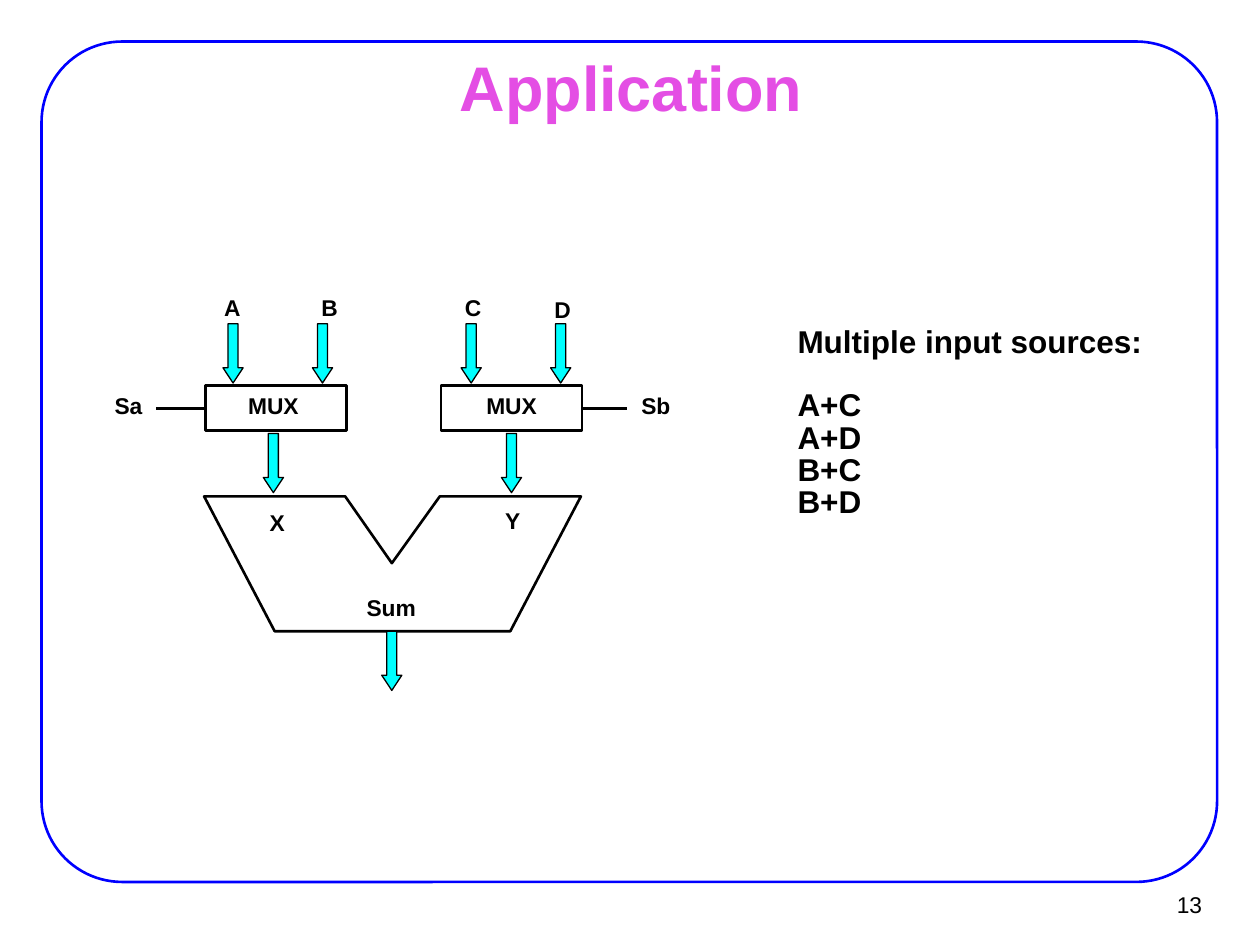
from dataclasses import dataclass

from lxml.etree import SubElement
from pptx import Presentation
from pptx.dml.color import RGBColor as RGB
from pptx.enum.shapes import MSO_CONNECTOR as Connector, MSO_SHAPE as Shape
from pptx.enum.text import MSO_ANCHOR as Anchor, PP_ALIGN as Align
from pptx.oxml.ns import qn
from pptx.util import Inches, Pt


@dataclass(frozen=True)
class Theme:
    font: str = "Arial"
    ink: RGB = RGB(0, 0, 0)
    paper: RGB = RGB(255, 255, 255)
    frame: RGB = RGB(0, 0, 255)
    title: RGB = RGB(0xE4, 0x4E, 0xE4)
    bus: RGB = RGB(0, 255, 255)
    title_size: int = 36
    body_size: int = 18
    label_size: int = 13
    line: float = 1.5
    thin: float = 0.75


THEME = Theme()


def style(sp, fill=None, line=THEME.ink, width=THEME.line):
    sp.shadow.inherit = False
    if fill is None:
        sp.fill.background()
    else:
        sp.fill.solid()
        sp.fill.fore_color.rgb = fill
    sp.line.color.rgb = line
    sp.line.width = Pt(width)


def add_box(s, kind, x, y, w, h, **look):
    sp = s.shapes.add_shape(kind, Inches(x), Inches(y), Inches(w), Inches(h))
    style(sp, **look)
    return sp


def add_bus(s, x, y):
    sp = add_box(s, Shape.DOWN_ARROW, x, y, 0.16, 0.47, fill=THEME.bus, width=THEME.thin)
    sp.adjustments[0] = 0.5
    sp.adjustments[1] = 0.756


def add_text(s, lines, x, y, w, h, size=THEME.label_size, color=THEME.ink, bold=True,
             align=Align.LEFT, anchor=Anchor.TOP, inset=(0, 0), wrap=False):
    tf = s.shapes.add_textbox(Inches(x), Inches(y), Inches(w), Inches(h)).text_frame
    tf.word_wrap = wrap
    tf.vertical_anchor = anchor
    tf.margin_left = tf.margin_right = Inches(inset[0])
    tf.margin_top = tf.margin_bottom = Inches(inset[1])
    for i, line in enumerate(lines):
        p = tf.add_paragraph() if i else tf.paragraphs[0]
        p.alignment = align
        r = p.add_run()
        r.text = line
        r.font.name = THEME.font
        r.font.size = Pt(size)
        r.font.bold = bold
        r.font.color.rgb = color
    return tf


def add_select(s, mux, side, x, y):
    line = s.shapes.add_connector(Connector.STRAIGHT, 0, 0, Inches(x), Inches(y))
    line.begin_connect(mux, side)
    line.line.color.rgb = THEME.ink
    line.line.width = Pt(THEME.line)
    SubElement(line._element.spPr, qn("a:effectLst"))


def add_adder(s):
    points = [(1.62, 3.94), (2.74, 3.94), (3.11, 4.47), (3.49, 3.94),
              (4.61, 3.94), (4.05, 5.01), (2.18, 5.01)]
    outline = [(Inches(x), Inches(y)) for x, y in points]
    builder = s.shapes.build_freeform(*outline[0])
    builder.add_line_segments(outline[1:], close=True)
    style(builder.convert_to_shape())


def add_sources(s):
    lines = ["Multiple input sources:", "A+C", "A+D", "B+C", "B+D"]
    tf = add_text(s, lines, 6.26, 2.57, 2.9, 1.86, size=THEME.body_size, inset=(0.07, 0.03))
    for p in tf.paragraphs:
        p.line_spacing = 0.85
    tf.paragraphs[1].space_before = Pt(THEME.body_size)


def add_diagram(s):
    for x, side, end in [(1.63, 1, 1.24), (3.5, 3, 4.98)]:
        mux = add_box(s, Shape.RECTANGLE, x, 3.06, 1.12, 0.36, fill=THEME.paper)
        add_select(s, mux, side, end, 3.24)
    add_adder(s)

    labels = [("MUX", 1.97, 3.11, 0.4), ("MUX", 3.86, 3.11, 0.4),
              ("X", 2.14, 4.04, 0.12), ("Y", 4.01, 4.02, 0.12), ("Sum", 2.91, 4.71, 0.39),
              ("A", 1.78, 2.33, 0.13), ("B", 2.55, 2.33, 0.13),
              ("C", 3.69, 2.33, 0.13), ("D", 4.4, 2.35, 0.13),
              ("Sa", 0.91, 3.11, 0.22), ("Sb", 5.09, 3.11, 0.23)]
    for text, x, y, w in labels:
        add_text(s, [text], x, y, w, 0.22)

    bus_rows = {2.57: (1.77, 2.48, 3.66, 4.37), 3.44: (2.09, 3.98), 5.01: (3.03,)}
    for y, columns in bus_rows.items():
        for x in columns:
            add_bus(s, x, y)


def main():
    prs = Presentation()
    prs.slide_width, prs.slide_height = Inches(10), Inches(7.5)
    s = prs.slides.add_slide(prs.slide_layouts[6])

    frame = add_box(s, Shape.ROUNDED_RECTANGLE, 0.33, 0.33, 9.33, 6.67, line=THEME.frame)
    frame.adjustments[0] = 0.096
    add_text(s, ["13"], 9.02, 6.99, 0.61, 0.37, bold=False, align=Align.RIGHT,
             anchor=Anchor.MIDDLE, inset=(0.09, 0.04))
    add_text(s, ["Application"], 0.76, 0.44, 8.5, 0.49, size=THEME.title_size,
             color=THEME.title, align=Align.CENTER, anchor=Anchor.MIDDLE,
             inset=(0.11, 0.06), wrap=True)
    add_sources(s)
    add_diagram(s)
    prs.save("out.pptx")


if __name__ == "__main__":
    main()
